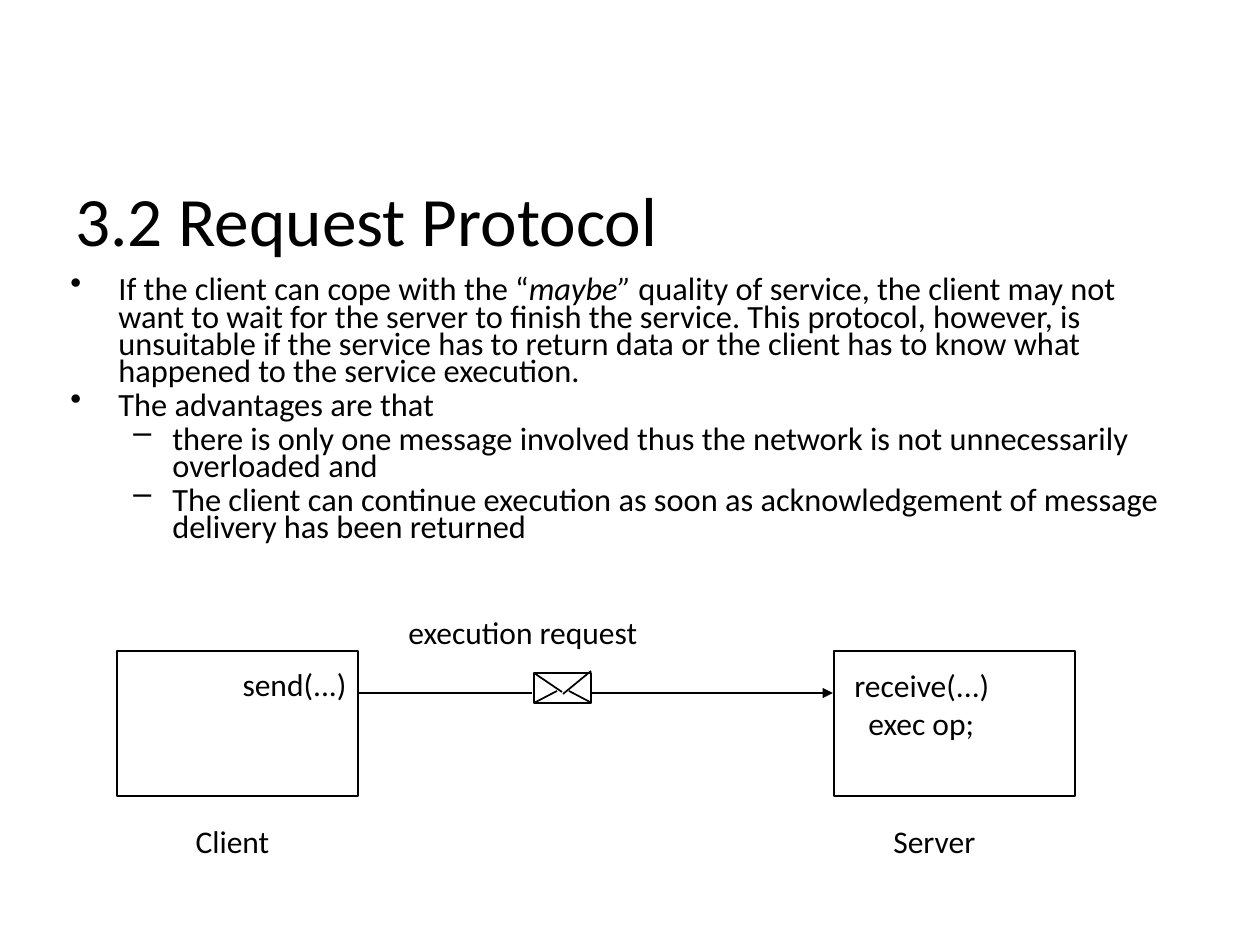
from dataclasses import dataclass

import pptx
import pptx.dml.color
import pptx.enum.shapes
import pptx.enum.text
import pptx.oxml.ns
import pptx.util
from lxml import etree

SCALE = 914400 / 126  # EMU in one px
FONT = "Calibri"
INK = {"text": "000000", "line": "000000"}
ALIGN = pptx.enum.text.PP_ALIGN
ANCHOR = pptx.enum.text.MSO_ANCHOR


@dataclass
class Box:
    left: int
    top: int
    width: int
    height: int


@dataclass
class Line:
    x1: int
    y1: int
    x2: int
    y2: int
    arrow: bool = False


@dataclass
class Para:
    runs: list[str]  # every second run is italic
    bullet: str = ""
    margin: int = 0
    hang: int = 0
    level: int = 0


def px(num: int) -> int:
    return round(num * SCALE)


def color(name: str) -> pptx.dml.color.RGBColor:
    return pptx.dml.color.RGBColor.from_string(INK[name])


def add(parent, tag: str, **attrs: str):
    return etree.SubElement(parent, pptx.oxml.ns.qn(tag), **attrs)


def frame(box: Box) -> list[int]:
    return [px(n) for n in (box.left, box.top, box.width, box.height)]


def write(slide, box: Box, paras: list[Para], *, size: float = 18, align=ALIGN.LEFT,
          anchor=ANCHOR.TOP, wrap: bool = True, pitch: float = 1.0,
          gap: float = 0) -> None:
    body = slide.shapes.add_textbox(*frame(box)).text_frame
    body.word_wrap = wrap
    body.vertical_anchor = anchor
    for i, item in enumerate(paras):
        para = body.add_paragraph() if i else body.paragraphs[0]
        para.level = item.level
        para.alignment = align
        para.line_spacing = pitch
        if i:
            para.space_before = pptx.util.Pt(gap)
        props = para._p.get_or_add_pPr()
        props.set("marL", str(px(item.margin)))
        props.set("indent", str(-px(item.hang)))
        if item.bullet:
            add(props, "a:buChar", char=item.bullet)
        for j, words in enumerate(item.runs):
            run = para.add_run()
            run.text = words
            run.font.name = FONT
            run.font.size = pptx.util.Pt(size)
            run.font.italic = j % 2 == 1
            run.font.color.rgb = color("text")


def draw_box(shapes, box: Box) -> None:
    rect = shapes.add_shape(pptx.enum.shapes.MSO_SHAPE.RECTANGLE, *frame(box))
    rect.shadow.inherit = False
    rect.fill.background()
    rect.line.color.rgb = color("line")
    rect.line.width = pptx.util.Pt(1)


def draw_line(shapes, line: Line) -> None:
    ends = [px(n) for n in (line.x1, line.y1, line.x2, line.y2)]
    link = shapes.add_connector(pptx.enum.shapes.MSO_CONNECTOR.STRAIGHT, *ends)
    link.line.color.rgb = color("line")
    link.line.width = pptx.util.Pt(1)
    if line.arrow:
        add(link.line._get_or_add_ln(), "a:tailEnd", type="triangle")
    add(link._element.spPr, "a:effectLst")


def point(*runs: str) -> Para:
    return Para(list(runs), "•", 48, 48)


def dash(words: str) -> Para:
    return Para([words], "–", 102, 39, 1)


POINTS = [
    point("If the client can cope with the “", "maybe”",
          " quality of service, the client may not want to wait for the server to "
          "finish the service. This protocol, however, is unsuitable if the service "
          "has to return data or the client has to know what happened to the "
          "service execution."),
    point("The advantages are that"),
    dash("there is only one message involved thus the network is not "
         "unnecessarily overloaded and"),
    dash("The client can continue execution as soon as acknowledgement of message "
         "delivery has been returned"),
]
HOSTS = [Box(left, 651, 241, 145) for left in (117, 834)]
LETTER = Box(534, 673, 57, 30)
FOLDS = [
    Line(534, 673, 562, 692),
    Line(563, 694, 591, 671),
    Line(557, 691, 534, 703),
    Line(569, 691, 590, 702),
]
FLOW = [Line(359, 693, 532, 693), Line(592, 693, 833, 693, arrow=True)]


def main() -> None:
    deck = pptx.Presentation()
    deck.slide_width, deck.slide_height = px(1260), px(945)
    slide = deck.slides.add_slide(deck.slide_layouts[6])

    write(slide, Box(63, 179, 1134, 79), [Para(["3.2 Request Protocol"])],
          size=39.6, anchor=ANCHOR.MIDDLE)
    write(slide, Box(58, 273, 1139, 305), POINTS, size=18.5, pitch=0.7, gap=3.7)

    write(slide, Box(396, 607, 331, 50), [Para(["execution request"])])
    for host in HOSTS:
        draw_box(slide.shapes, host)
    write(slide, Box(229, 659, 130, 88), [Para(["send(...)"])],
          align=ALIGN.RIGHT, wrap=False)
    write(slide, Box(183, 816, 99, 50), [Para(["Client"])],
          align=ALIGN.CENTER, wrap=False)
    write(slide, Box(881, 816, 108, 50), [Para(["Server"])], wrap=False)
    write(slide, Box(842, 660, 207, 88),
          [Para(["receive(...)"]), Para(["exec op;"], margin=14)])

    letter = slide.shapes.add_group_shape()
    draw_box(letter.shapes, LETTER)
    for fold in FOLDS:
        draw_line(letter.shapes, fold)
    for part in FLOW:
        draw_line(slide.shapes, part)

    deck.save("out.pptx")


if __name__ == "__main__":
    main()
